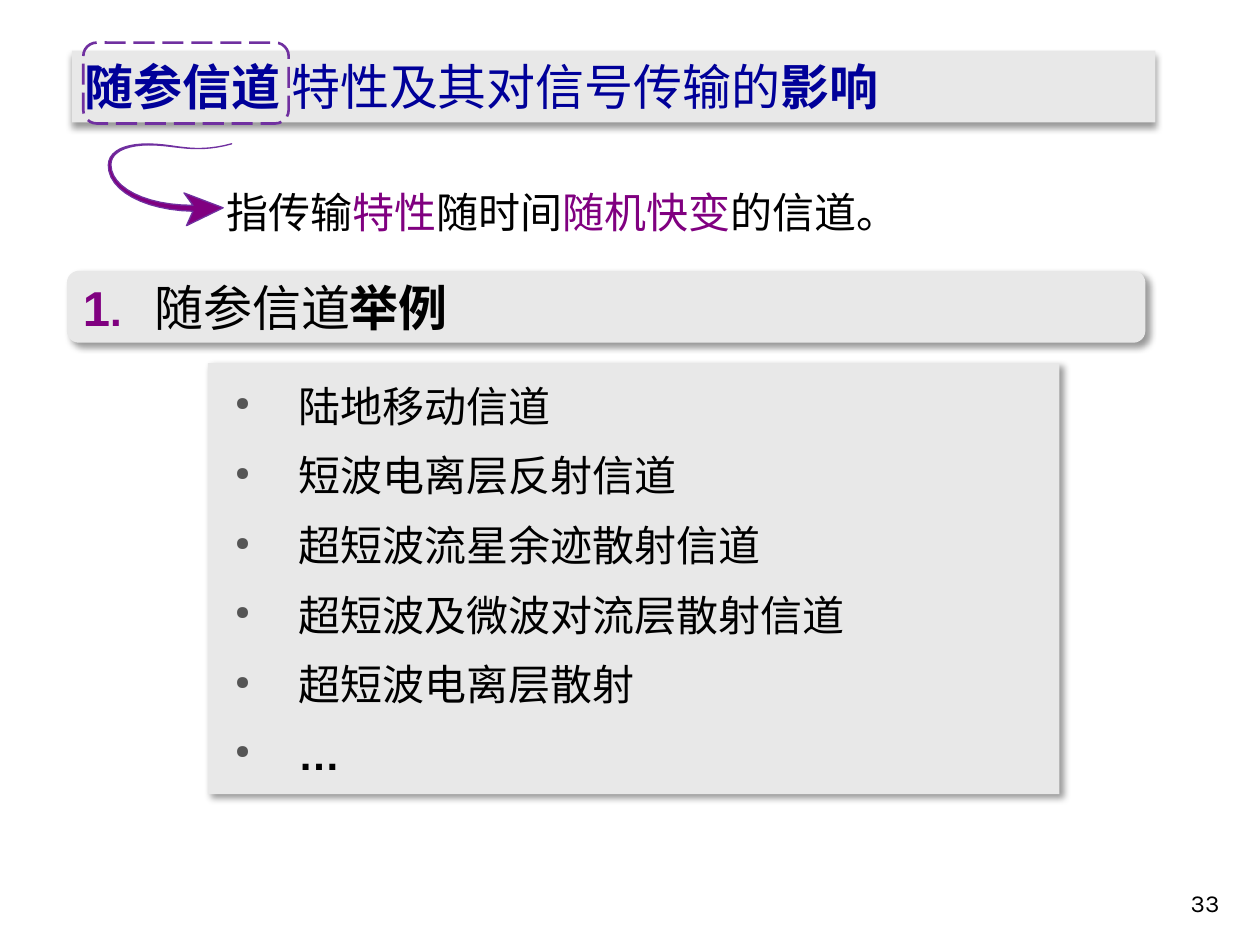
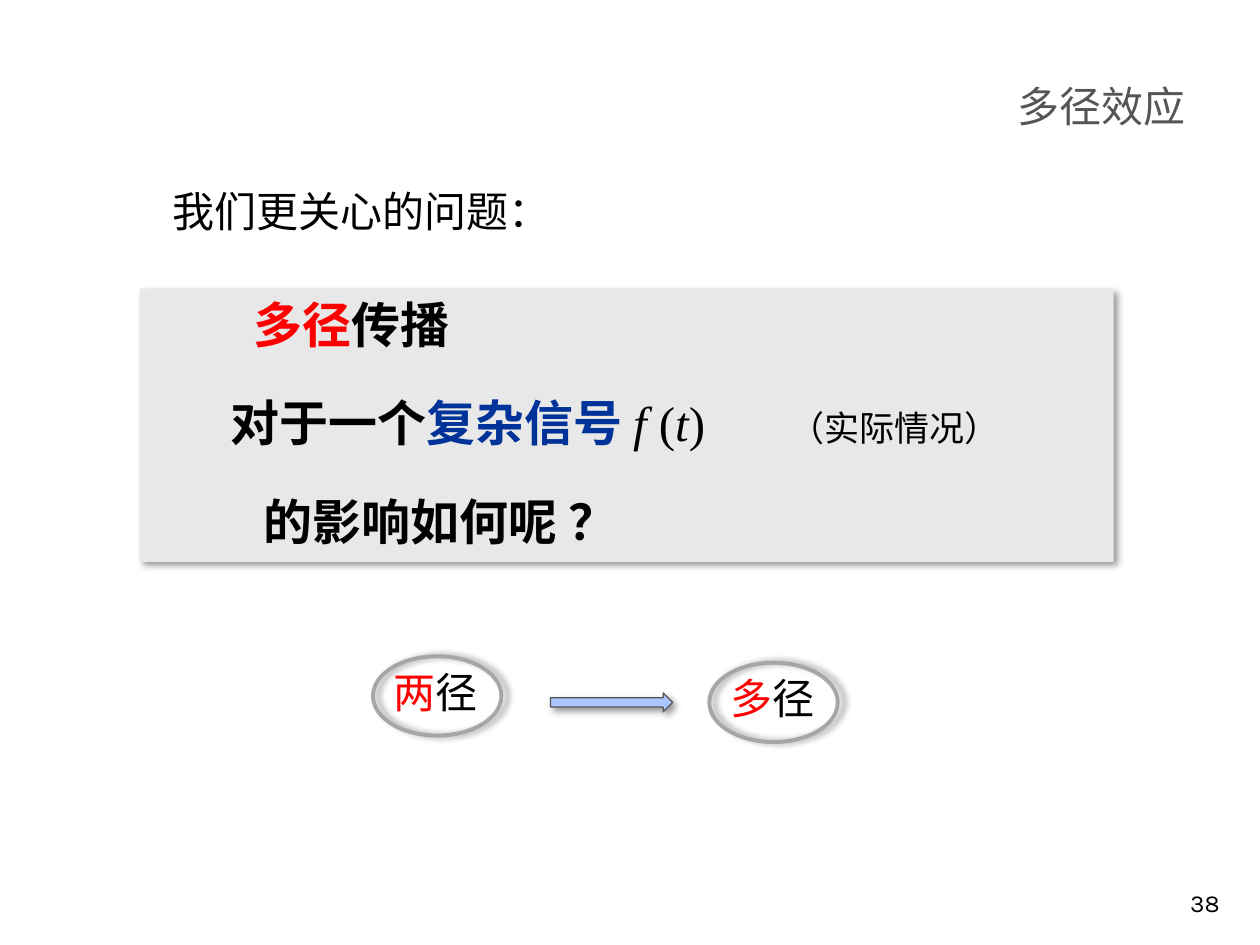
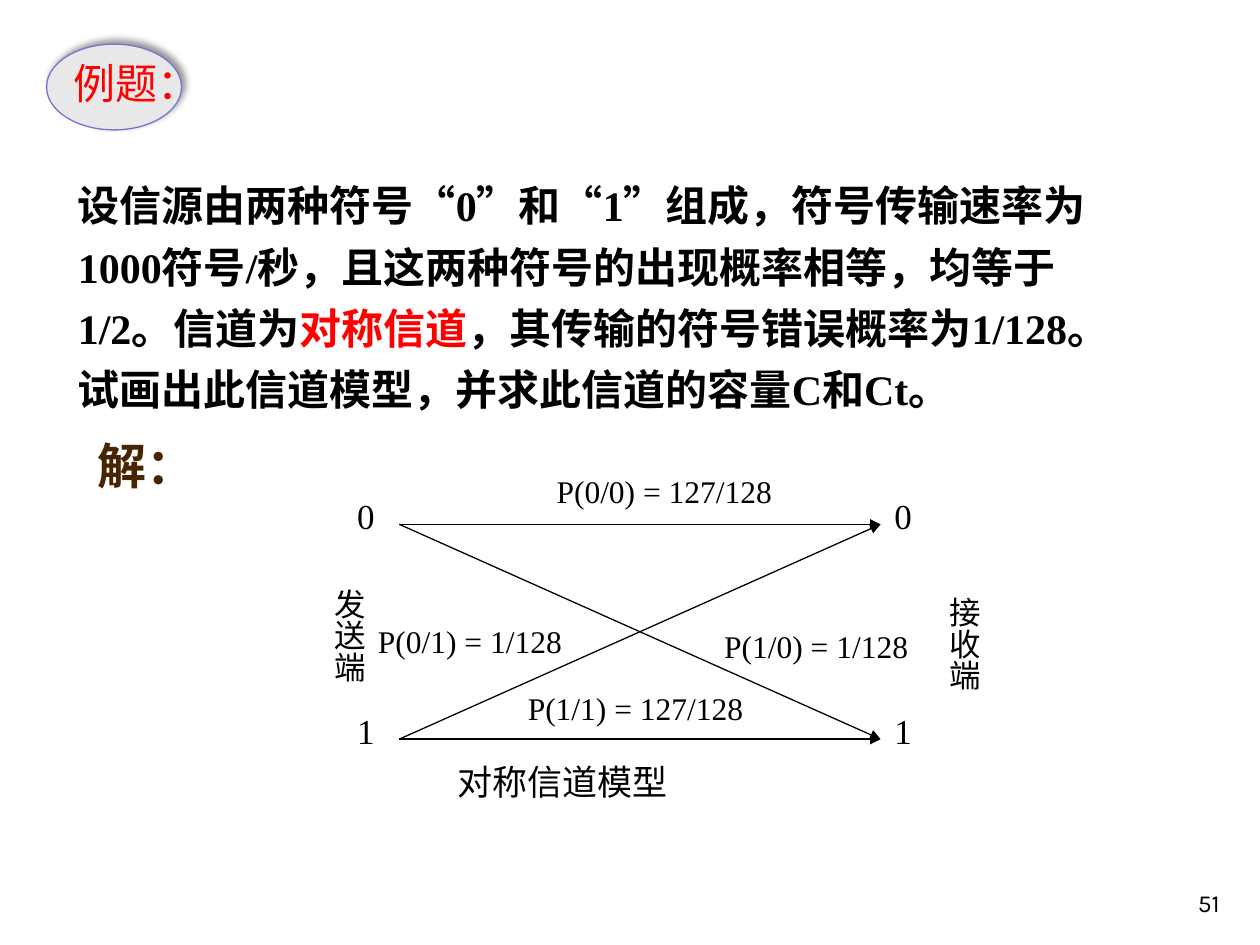
from itertools import product
from math import hypot

from lxml.etree import SubElement
from pptx import Presentation
from pptx.dml.color import RGBColor
from pptx.enum.dml import MSO_LINE
from pptx.enum.shapes import MSO_CONNECTOR, MSO_SHAPE as Preset
from pptx.enum.text import MSO_ANCHOR as Anchor, MSO_AUTO_SIZE, PP_ALIGN as Align
from pptx.oxml.ns import qn
from pptx.util import Cm, Pt

BLACK = RGBColor(0x00, 0x00, 0x00)
GRAY = RGBColor(0x55, 0x55, 0x55)
PANEL = RGBColor(0xE8, 0xE8, 0xE8)
RING = RGBColor(0xA6, 0xA6, 0xA6)
PURPLE = RGBColor(0x80, 0x00, 0x80)
VIOLET = RGBColor(0x70, 0x30, 0xA0)
NAVY = RGBColor(0x00, 0x00, 0x99)
BLUE = RGBColor(0x00, 0x33, 0x99)
SKY = RGBColor(0xAB, 0xC7, 0xFF)
LAVENDER = RGBColor(0x75, 0x75, 0xD1)
RED = RGBColor(0xFF, 0x00, 0x00)
BROWN = RGBColor(0x48, 0x24, 0x00)

CJK, SANS, SERIF, NUMERAL = "Noto Sans CJK SC", "Arial", "Times New Roman", "Karla"

# Styles that runs share.
BOLD = {"bold": True}
KEY = {"color": PURPLE}
NUMBER = {"color": PURPLE, "bold": True, "face": SANS}
FORMULA = {"face": SERIF, "bold": False}
VARIABLE = {**FORMULA, "italic": True}

# All positions and boxes below are in cm; a box is left, top, width, height.
# Each run is its text followed by the styles that differ from its paragraph.
TOPIC = [("随参信道", BOLD), (" 特性及其对信号传输的", {}), ("影响", BOLD)]
DEFINITION = [
    ("指传输", {}), ("特性", KEY), ("随时间", {}), ("随机快变", KEY), ("的信道。", {}),
]
HEADING = [
    ("1", NUMBER), (".", {**NUMBER, "size": 24}), ("\t随参信道", {}), ("举例", BOLD),
]
EXAMPLES = [
    ("陆地移动信道", {}),
    ("短波电离层反射信道", {}),
    ("超短波流星余迹散射信道", {}),
    ("超短波及微波对流层散射信道", {}),
    ("超短波电离层散射", {}),
    ("…", {"face": SANS, "bold": True}),
]

# The curl runs along three cubic curves; each starts where the one before ends.
CURL_START = (4.67, 2.9)
CURL_CURVES = [
    ((4.06, 3.07), (3.68, 2.97), (3.3, 2.93)),
    ((2.67, 2.86), (2.21, 3.0), (2.21, 3.33)),
    ((2.21, 3.81), (2.92, 4.19), (3.89, 4.2)),
]
CURL_HEAD = [(3.71, 3.89), (4.5, 4.19), (3.76, 4.55)]
CURL_HALF_WIDTH = 0.06
STEPS_PER_CURVE = 12

# Line spacing, tab stops, then the runs of the line.
MULTIPATH = [
    (1.0, [2.05], [("\t", {}), ("多径", {"color": RED}), ("传播", {})]),
    (1.5, [1.58, 12.84], [
        ("\t对于一个", {}), ("复杂信号 ", {"color": BLUE}),
        ("f ", VARIABLE), ("(", FORMULA), ("t", VARIABLE), (")\t", FORMULA),
        ("（实际情况）", {"size": 20, "bold": False}),
    ]),
    (1.5, [2.25], [("\t的影响如何呢 ？", {})]),
]
PATH_COUNTS = [("两", 7.52, 13.23), ("多", 14.3, 13.36)]

PROBLEM = [
    ("设信源由两种符号“0”和“1”组成，符号传输速率为1000符号/秒，"
     "且这两种符号的出现概率相等，均等于1/2。信道为", {}),
    ("对称信道", {"color": RED}),
    ("，其传输的符号错误概率为1/128。试画出此信道模型，并求此信道的容量C和Ct。", {}),
]
SYMBOL_ROWS = {"0": 10.57, "1": 14.9}
SENDER_X, RECEIVER_X = 8.05, 17.75
SYMBOL_LEFTS = (6.95, 17.78)
CORRECT, WRONG = "127/128", "1/128"
PROBABILITY_SPOTS = {
    ("0", "0"): (10.97, 9.4),
    ("1", "1"): (10.39, 13.77),
    ("1", "0"): (14.35, 12.52),
    ("0", "1"): (7.37, 12.42),
}
TERMINALS = [("发送端", (5.94, 11.61, 1.6, 2.92)), ("接收端", (18.95, 11.79, 0.99, 2.49))]


def place(lengths):
    return [Cm(length) for length in lengths]


def add_runs(paragraph, runs, **base):
    for text, changes in runs:
        style = {"size": 24, "color": BLACK, "face": CJK, **base, **changes}
        run = paragraph.add_run()
        run.text = text
        font = run.font
        font.size, font.name = Pt(style["size"]), style["face"]
        font.bold, font.italic = style.get("bold", False), style.get("italic", False)
        font.color.rgb = style["color"]
        SubElement(font._element, qn("a:ea"), typeface=CJK)


def set_frame(shape, wrap=True, anchor=Anchor.TOP):
    frame = shape.text_frame
    frame.auto_size = MSO_AUTO_SIZE.NONE
    frame.word_wrap = wrap
    frame.vertical_anchor = anchor
    return frame


def write(shape, runs, align=Align.LEFT, spacing=None, wrap=True, anchor=Anchor.TOP, **base):
    """Fill a shape with one paragraph."""
    frame = set_frame(shape, wrap, anchor)
    paragraph = frame.paragraphs[0]
    paragraph.alignment = align
    paragraph.line_spacing = spacing
    add_runs(paragraph, runs, **base)
    return frame


def spaced_paragraphs(shape, spacings, size):
    """Yield one paragraph per line spacing, a fifth of the text size apart."""
    frame = set_frame(shape)
    for index, spacing in enumerate(spacings):
        paragraph = frame.add_paragraph() if index else frame.paragraphs[0]
        paragraph.alignment = Align.LEFT
        paragraph.line_spacing = spacing
        paragraph.space_before = Pt(size / 5 if index else 0)
        yield paragraph


def set_tabs(paragraph, stops):
    tabs = SubElement(paragraph._p.get_or_add_pPr(), qn("a:tabLst"))
    for stop in stops:
        SubElement(tabs, qn("a:tab"), pos=str(Cm(stop)), algn="l")


def set_bullet(paragraph, left, hanging):
    props = paragraph._p.get_or_add_pPr()
    props.set("marL", str(Cm(left)))
    props.set("indent", str(-Cm(hanging)))
    SubElement(SubElement(props, qn("a:buClr")), qn("a:srgbClr"), val=str(GRAY))
    SubElement(props, qn("a:buSzPct"), val="45000")
    SubElement(props, qn("a:buChar"), char="●")


def paint(shape, fill=None, line=None, width=0.75, shadow_angle=None):
    if fill is None:
        shape.fill.background()
    else:
        shape.fill.solid()
        shape.fill.fore_color.rgb = fill
    if line is None:
        shape.line.fill.background()
    else:
        shape.line.color.rgb = line
        shape.line.width = Pt(width)
    shape.shadow.inherit = False
    if shadow_angle is not None:
        effects = shape._element.spPr.find(qn("a:effectLst"))
        shadow = SubElement(effects, qn("a:outerShdw"), blurRad=str(Pt(4)), dist=str(Pt(3)),
                            dir=str(shadow_angle * 60000), algn="tl", rotWithShape="0")
        color = SubElement(shadow, qn("a:srgbClr"), val=str(BLACK))
        SubElement(color, qn("a:alpha"), val="40000")


def add_preset(slide, preset, box, **look):
    shape = slide.shapes.add_shape(preset, *place(box))
    paint(shape, **look)
    return shape


def add_panel(slide, box, preset=Preset.RECTANGLE):
    return add_preset(slide, preset, box, fill=PANEL, shadow_angle=45)


def add_text(slide, box, runs, **options):
    return write(slide.shapes.add_textbox(*place(box)), runs, **options)


def add_title(slide, box, runs, **options):
    """Place the title in front of what has been drawn so far."""
    title = slide.shapes.title
    slide.shapes._spTree.append(title._element)
    title.left, title.top, title.width, title.height = place(box)
    write(title, runs, wrap=False, **options)
    return title


def add_arrow(slide, ends):
    arrow = slide.shapes.add_connector(MSO_CONNECTOR.STRAIGHT, *place(ends))
    arrow.line.color.rgb = BLACK
    arrow.line.width = Pt(0.75)
    SubElement(arrow.line._get_or_add_ln(), qn("a:tailEnd"), type="triangle")
    SubElement(arrow._element.spPr, qn("a:effectLst"))


def curve_point(curve, t):
    """Return the point at t on a cubic curve and the unit normal there."""
    s = 1 - t
    weights = (s ** 3, 3 * s * s * t, 3 * s * t * t, t ** 3)
    slopes = (-s * s, s * s - 2 * s * t, 2 * s * t - t * t, t * t)
    x, y = (sum(w * p[axis] for w, p in zip(weights, curve)) for axis in (0, 1))
    dx, dy = (sum(w * p[axis] for w, p in zip(slopes, curve)) for axis in (0, 1))
    length = hypot(dx, dy)
    return (x, y), (-dy / length, dx / length)


def curl_outline():
    """Widen the curl from a point at its tail to full width at its head."""
    upper, lower = [CURL_START], []
    total = len(CURL_CURVES) * STEPS_PER_CURVE
    start = CURL_START
    for number, rest in enumerate(CURL_CURVES):
        for step in range(1, STEPS_PER_CURVE + 1):
            (x, y), (nx, ny) = curve_point((start, *rest), step / STEPS_PER_CURVE)
            progress = (number * STEPS_PER_CURVE + step) / total
            half = CURL_HALF_WIDTH * progress ** 2
            upper.append((x - nx * half, y - ny * half))
            lower.append((x + nx * half, y + ny * half))
        start = rest[-1]
    return upper + CURL_HEAD + lower[::-1]


def add_curl(slide):
    tail, *outline = [place(point) for point in curl_outline()]
    builder = slide.shapes.build_freeform(*tail)
    builder.add_line_segments(outline, close=True)
    paint(builder.convert_to_shape(), fill=PURPLE, line=VIOLET)


def new_slide(deck, number):
    slide = deck.slides.add_slide(deck.slide_layouts[5])
    add_text(slide, (19.56, 17.35, 5.28, 1.27), [(number, {})], align=Align.RIGHT,
             anchor=Anchor.BOTTOM, size=14, face=NUMERAL)
    return slide


def build_random_channels(deck):
    slide = new_slide(deck, "33")
    heading = add_panel(slide, (1.35, 5.46, 21.74, 1.45), Preset.FLOWCHART_ALTERNATE_PROCESS)
    frame = write(heading, HEADING, anchor=Anchor.MIDDLE, size=28)
    set_tabs(frame.paragraphs[0], [1.44])
    add_text(slide, (4.32, 3.53, 14.58, 1.42), DEFINITION, spacing=Pt(32))

    title = add_title(slide, (1.45, 1.02, 21.84, 1.45), TOPIC, size=28, color=NAVY, face=SANS)
    paint(title, fill=PANEL, shadow_angle=90)
    term_frame = add_preset(slide, Preset.ROUNDED_RECTANGLE, (1.68, 0.86, 4.14, 1.63),
                            line=VIOLET, width=1.5)
    term_frame.line.dash_style = MSO_LINE.LONG_DASH
    add_curl(slide)

    panel = add_panel(slide, (4.19, 7.32, 17.17, 8.69))
    paragraphs = spaced_paragraphs(panel, [Pt(35)] * len(EXAMPLES), size=24)
    for paragraph, example in zip(paragraphs, EXAMPLES):
        set_bullet(paragraph, left=1.57, hanging=1.27)
        add_runs(paragraph, [example])


def build_multipath(deck):
    slide = new_slide(deck, "38")
    add_text(slide, (3.23, 3.61, 9.35, 1.3), [("我们更关心的问题：", {})])
    panel = add_panel(slide, (2.82, 5.82, 19.63, 5.51))
    spacings = [spacing for spacing, _, _ in MULTIPATH]
    paragraphs = spaced_paragraphs(panel, spacings, size=28)
    for paragraph, (_, stops, runs) in zip(paragraphs, MULTIPATH):
        set_tabs(paragraph, stops)
        add_runs(paragraph, runs, size=28, bold=True)

    for count, left, top in PATH_COUNTS:
        add_text(slide, (left + 0.17, top + 0.08, 2.24, 1.3),
                 [(count, {"color": RED}), ("径", {})], wrap=False)
        add_preset(slide, Preset.OVAL, (left, top, 2.59, 1.6),
                   line=RING, width=2.25, shadow_angle=0)
    add_preset(slide, Preset.RIGHT_ARROW, (11.1, 13.97, 2.46, 0.38),
               fill=SKY, line=GRAY, shadow_angle=45)
    add_title(slide, (20.24, 1.5, 3.94, 1.3), [("多径效应", {})], align=Align.CENTER, color=GRAY)


def add_channel_model(slide):
    for start_y, end_y in product(SYMBOL_ROWS.values(), repeat=2):
        add_arrow(slide, (SENDER_X, start_y, RECEIVER_X, end_y))
    for (symbol, row), left in product(SYMBOL_ROWS.items(), SYMBOL_LEFTS):
        add_text(slide, (left, row - 0.72, 1.3, 1.35), [(symbol, {})], size=20, face=SERIF)
    for (first, second), spot in PROBABILITY_SPOTS.items():
        chance = CORRECT if first == second else WRONG
        add_text(slide, (*spot, 5.16, 1.35), [(f"P({first}/{second}) = {chance}", {})],
                 size=18, face=SERIF)
    for terminal, box in TERMINALS:
        frame = add_text(slide, box, [(terminal, {})], size=18, face=SERIF)
        frame._txBody.bodyPr.set("vert", "eaVert")
    add_text(slide, (8.97, 15.21, 8.1, 1.68), [("对称信道模型", {})], size=20, face=SERIF)


def build_exercise(deck):
    slide = new_slide(deck, "51")
    add_channel_model(slide)
    add_text(slide, (1.32, 3.28, 22.12, 6.43), PROBLEM, spacing=Pt(35), face=SERIF, bold=True)
    add_preset(slide, Preset.OVAL, (0.94, 0.89, 2.72, 1.73),
               fill=PANEL, line=LAVENDER, shadow_angle=315)
    add_title(slide, (1.22, 1.14, 3.05, 1.17), [("例题：", {})],
              align=Align.CENTER, spacing=0.9, color=RED)
    add_text(slide, (1.7, 8.66, 2.49, 1.45), [("解：", {})], align=Align.CENTER, wrap=False,
             size=28, color=BROWN, face=SANS, bold=True)


def main():
    deck = Presentation()
    deck.slide_width, deck.slide_height = Cm(25.4), Cm(19.05)
    build_random_channels(deck)
    build_multipath(deck)
    build_exercise(deck)
    deck.save("out.pptx")


if __name__ == "__main__":
    main()
